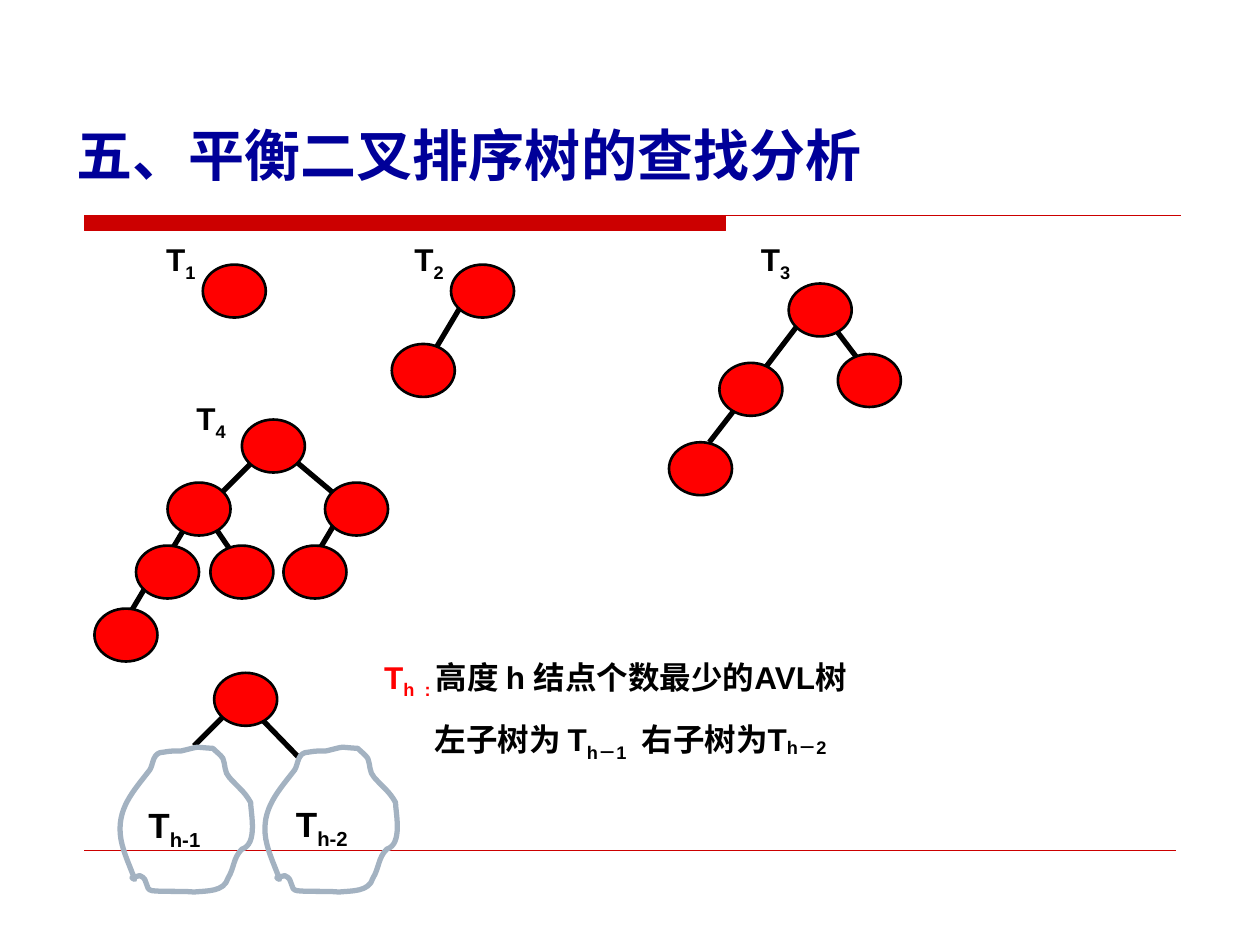
from lxml import etree
from pptx import Presentation
from pptx.dml.color import RGBColor
from pptx.enum import shapes, text
from pptx.oxml.ns import qn
from pptx.util import Inches, Pt

THEME = dict(font="Arial", title="000099", ink="000000", red="FF0000",
             rule="CC0000", cloud="A3B2C1", big=32, mid=20, body=18)
NODE = (0.5, 0.42)
SUB, LOW = -25, -10

TITLE = "五、平衡二叉排序树的查找分析"

# Each tree: top-left corners of its nodes, then the ends of its edges
TREES = [
    ([(1.61, 2.1)], []),
    ([(3.58, 2.1), (3.11, 2.73)], [(3.67, 2.41, 3.42, 2.83)]),
    ([(6.26, 2.25), (5.71, 2.88), (6.65, 2.81), (5.31, 3.51)],
     [(6.34, 2.57, 6.02, 2.99), (6.65, 2.64, 6.9, 2.97),
      (5.87, 3.2, 5.63, 3.51)]),
    ([(1.92, 3.33), (1.33, 3.83), (2.58, 3.83), (1.08, 4.33),
      (1.67, 4.33), (2.25, 4.33), (0.75, 4.83)],
     [(2, 3.67, 1.75, 3.92), (2.25, 3.58, 2.75, 4), (1.58, 4, 1.33, 4.42),
      (1.58, 4, 1.92, 4.5), (2.75, 4, 2.5, 4.42), (1.25, 4.5, 1, 4.92)]),
    ([(1.7, 5.34)], [(1.79, 5.67, 1.54, 5.92), (2.04, 5.67, 2.37, 6.01)]),
]

# Subscript, box, type size
LABELS = [
    ("1", (1.22, 1.86, 0.63, 0.44), "body"),
    ("2", (3.19, 1.86, 0.47, 0.44), "body"),
    ("3", (5.94, 1.86, 2.48, 0.44), "body"),
    ("4", (1.46, 3.12, 2.68, 0.44), "body"),
    ("h-1", (1.08, 6.33, 0.83, 0.48), "mid"),
    ("h-2", (2.25, 6.32, 0.83, 0.48), "mid"),
]

# Runs: words, colour, baseline shift in percent, letter spacing in points
NOTE_BOX = (2.95, 5.17, 4.49, 0.94)
NOTE_INDENT = 0.4
NOTE = [
    [("T", "red", 0, 0), ("h", "red", SUB, 0), (" ", "red", 0, 0.8),
     (": ", "red", SUB, 0), ("高度 h 结点个数最少的AVL树", "ink", 0, 0)],
    [("左子树为 T", "ink", 0, 0), ("h－1", "ink", SUB, 0),
     (" ", "ink", 0, 3.7), ("右子树为T", "ink", 0, 0),
     ("h－2", "ink", LOW, 0)],
]

# Subtree outline: start, then cubic curves
CLOUD_X = (0, 1.15)
CLOUD_START = (1.07, 6.98)
CLOUD = [
    (1.03, 6.87, 0.98, 6.77, 0.96, 6.66), (0.92, 6.42, 1.06, 6.28, 1.19, 6.11),
    (1.22, 6.06, 1.21, 5.97, 1.3, 5.97), (1.35, 5.96, 1.39, 5.96, 1.44, 5.96),
    (1.61, 5.92, 1.52, 5.93, 1.69, 5.94), (1.72, 5.97, 1.75, 5.99, 1.77, 6.02),
    (1.79, 6.07, 1.78, 6.13, 1.82, 6.17), (1.9, 6.26, 1.94, 6.28, 1.99, 6.37),
    (1.99, 6.45, 2.05, 6.7, 1.92, 6.74), (1.85, 6.81, 1.86, 6.89, 1.81, 6.97),
    (1.78, 7.08, 1.64, 7.07, 1.54, 7.08), (1.43, 7.07, 1.32, 7.08, 1.21, 7.07),
    (1.14, 7.06, 1.19, 6.98, 1.11, 6.95), (1.04, 6.97, 1.03, 6.96, 1.07, 6.98),
]

# Title rule: thick bar and the thin line that runs on from it
LEFT, TOP, BAR_END, BASE, RULE_END = 0.67, 1.71, 5.76, 1.83, 9.37


def color(name):
    return RGBColor.from_string(THEME[name])


def place(box):
    return [Inches(v) for v in box]


def stroke(shape, ink, width):
    shape.line.color.rgb = color(ink)
    shape.line.width = Pt(width)


def fill(shape, name):
    shape.shadow.inherit = False
    shape.fill.solid()
    shape.fill.fore_color.rgb = color(name)


def line(slide, ends, ink, width):
    edge = slide.shapes.add_connector(
        shapes.MSO_CONNECTOR.STRAIGHT, *place(ends))
    stroke(edge, ink, width)
    etree.SubElement(edge._element.spPr, qn("a:effectLst"))


def write(para, words, ink, size, shift=0, gap=0):
    run = para.add_run()
    run.text = words
    font = run.font
    font.name, font.bold, font.size = THEME["font"], True, Pt(THEME[size])
    font.color.rgb = color(ink)
    props = run._r.get_or_add_rPr()
    if shift:
        props.set("baseline", str(shift * 1000))
    if gap:
        props.set("spc", str(round(gap * 100)))


def text_box(slide, box):
    frame = slide.shapes.add_textbox(*place(box)).text_frame
    frame.word_wrap = True
    return frame


def bend(shape):
    """Turn each three straight segments into one cubic curve."""
    segs = list(shape._element.iter(qn("a:lnTo")))
    for i in range(0, len(segs), 3):
        cubic = etree.Element(qn("a:cubicBezTo"))
        segs[i].addprevious(cubic)
        for seg in segs[i:i + 3]:
            cubic.append(seg[0])
            seg.getparent().remove(seg)


def add_title(slide):
    title = slide.shapes.title
    title.left, title.top, title.width, title.height = place(
        (0.01, 0.91, 6.93, 0.64))
    frame = title.text_frame
    frame.word_wrap = True
    frame.margin_right = 0
    frame.auto_size = text.MSO_AUTO_SIZE.NONE
    frame.vertical_anchor = text.MSO_ANCHOR.TOP
    para = frame.paragraphs[0]
    para.alignment = text.PP_ALIGN.LEFT
    para.space_before = Pt(0)
    para._p.get_or_add_pPr().set("marL", str(Inches(0.5)))
    write(para, TITLE, "title", "big")


def add_rules(slide):
    start = place((LEFT, TOP))
    pen = slide.shapes.build_freeform(*start)
    pen.add_line_segments([place(p) for p in (
        (BAR_END, TOP), (BAR_END, BASE), (LEFT, BASE))], close=True)
    pen.move_to(*start)
    pen.add_line_segments([place((RULE_END, TOP))], close=False)
    rule = pen.convert_to_shape()
    fill(rule, "rule")
    stroke(rule, "rule", 0.75)
    line(slide, (LEFT, 6.75, 9.33, 6.75), "rule", 0.25)


def add_trees(slide):
    for nodes, edges in TREES:
        for ends in edges:
            line(slide, ends, "ink", 3)
        for spot in nodes:
            node = slide.shapes.add_shape(
                shapes.MSO_SHAPE.OVAL, *place(spot + NODE))
            fill(node, "red")
            stroke(node, "ink", 1.5)


def add_clouds(slide):
    for dx in CLOUD_X:
        points = [place((x + dx, y)) for c in CLOUD
                  for x, y in zip(c[::2], c[1::2])]
        x, y = CLOUD_START
        pen = slide.shapes.build_freeform(*place((x + dx, y)))
        pen.add_line_segments(points, close=True)
        cloud = pen.convert_to_shape()
        bend(cloud)
        cloud.shadow.inherit = False
        cloud.fill.background()
        stroke(cloud, "cloud", 3)


def add_words(slide):
    for sub, box, size in LABELS:
        para = text_box(slide, box).paragraphs[0]
        write(para, "T", "ink", size)
        write(para, sub, "ink", size, SUB)

    frame = text_box(slide, NOTE_BOX)
    first, second = frame.paragraphs[0], frame.add_paragraph()
    second._p.get_or_add_pPr().set("marL", str(Inches(NOTE_INDENT)))
    second.space_before = Pt(11.2)
    for para, runs in zip((first, second), NOTE):
        for words, ink, shift, gap in runs:
            write(para, words, ink, "body", shift, gap)


def main():
    deck = Presentation()
    deck.slide_width, deck.slide_height = Inches(10), Inches(7.5)
    slide = deck.slides.add_slide(deck.slide_layouts[5])
    for step in (add_title, add_rules, add_trees, add_clouds, add_words):
        step(slide)
    deck.save("out.pptx")


if __name__ == "__main__":
    main()
